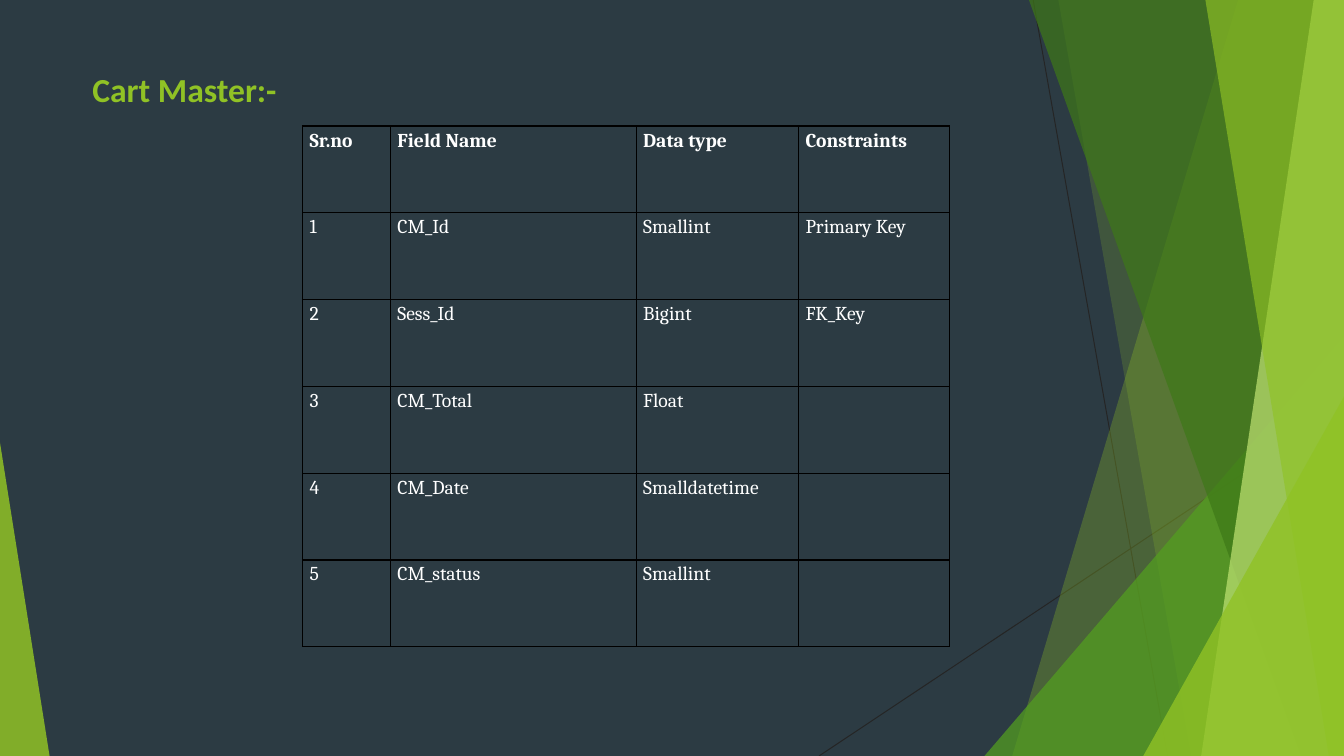
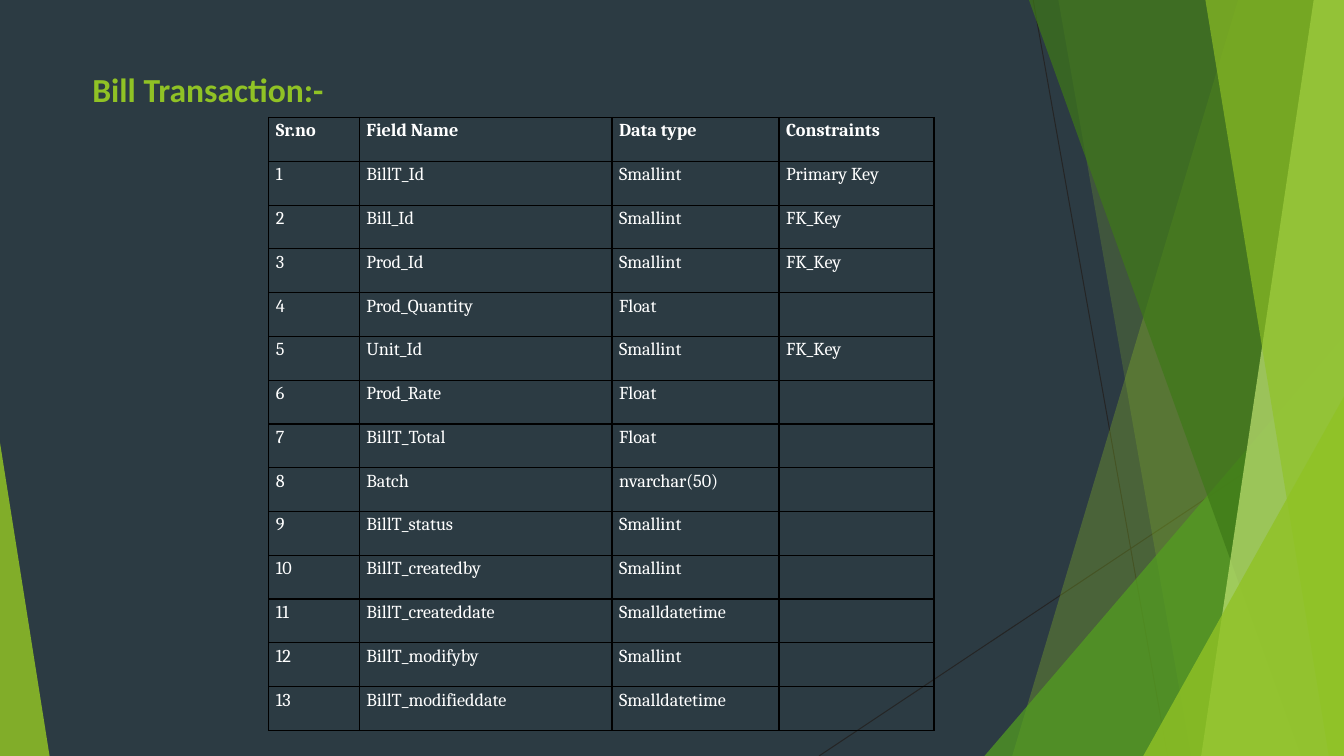
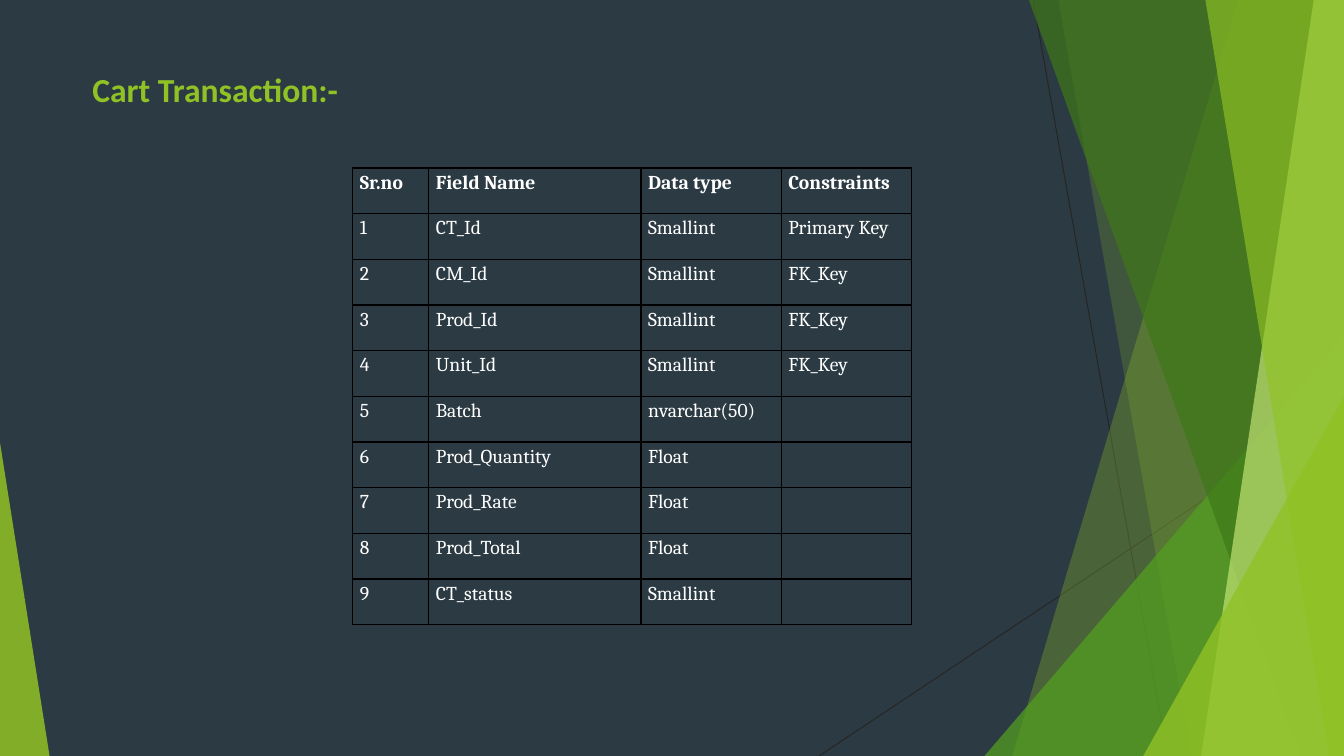
from lxml import etree
from pptx import Presentation
from pptx.dml.color import RGBColor
from pptx.enum.shapes import MSO_CONNECTOR
from pptx.enum.text import MSO_ANCHOR, MSO_AUTO_SIZE, PP_ALIGN
from pptx.oxml import parse_xml
from pptx.oxml.ns import nsdecls, qn
from pptx.util import Emu, Pt

STRAIGHT = MSO_CONNECTOR.STRAIGHT
TOP = MSO_ANCHOR.TOP
LEFT = PP_ALIGN.LEFT
FIXED = MSO_AUTO_SIZE.NONE

# The slide is a grid of 160 columns by 90 rows of square units.
COLS, ROWS = 160, 90
UNIT = 76200

HEX = {
    "night": "2C3B43", "line": "252525", "lime": "90C225", "leaf": "539F20",
    "moss": "3E7818", "pale": "C0E374", "white": "FFFFFF", "black": "000000",
}

RAYS = [(123, 0, 139, 90), (160, 48.4, 97.5, 90)]
FACETS = [  # colour, opacity in percent, corners
    ("lime", 30, [(160, 0), (147.4, 0), (120.5, 90), (160, 90)]),
    ("lime", 20, [(160, 0), (126, 0), (141.8, 90), (160, 90)]),
    ("leaf", 72, [(160, 40), (117.2, 90), (160, 90)]),
    ("moss", 70, [(160, 0), (122.5, 0), (154.9, 90), (160, 90)]),
    ("pale", 70, [(160, 0), (156.4, 0), (143, 90), (160, 90)]),
    ("lime", 65, [(160, 0), (143.5, 0), (158.2, 90), (160, 90)]),
    ("lime", 80, [(160, 47.2), (136.1, 90), (160, 90)]),
    ("lime", 85, [(0, 52.7), (0, 90), (5.9, 90)]),
]

HEAD = ("Sr.no", "Field Name", "Data type", "Constraints")
SHARES = (0.136, 0.38, 0.251, 0.233)
PAGES = [  # title, table box, text size, fields
    ("Cart Master:-", (36, 15, 77, 62), 14, [
        ("CM_Id", "Smallint", "Primary Key"),
        ("Sess_Id", "Bigint", "FK_Key"),
        ("CM_Total", "Float", ""),
        ("CM_Date", "Smalldatetime", ""),
        ("CM_status", "Smallint", ""),
    ]),
    ("Bill Transaction:-", (32, 14, 79.2, 73), 13, [
        ("BillT_Id", "Smallint", "Primary Key"),
        ("Bill_Id", "Smallint", "FK_Key"),
        ("Prod_Id", "Smallint", "FK_Key"),
        ("Prod_Quantity", "Float", ""),
        ("Unit_Id", "Smallint", "FK_Key"),
        ("Prod_Rate", "Float", ""),
        ("BillT_Total", "Float", ""),
        ("Batch", "nvarchar(50)", ""),
        ("BillT_status", "Smallint", ""),
        ("BillT_createdby", "Smallint", ""),
        ("BillT_createddate", "Smalldatetime", ""),
        ("BillT_modifyby", "Smallint", ""),
        ("BillT_modifieddate", "Smalldatetime", ""),
    ]),
    ("Cart Transaction:-", (42, 20, 66.5, 54.4), 14, [
        ("CT_Id", "Smallint", "Primary Key"),
        ("CM_Id", "Smallint", "FK_Key"),
        ("Prod_Id", "Smallint", "FK_Key"),
        ("Unit_Id", "Smallint", "FK_Key"),
        ("Batch", "nvarchar(50)", ""),
        ("Prod_Quantity", "Float", ""),
        ("Prod_Rate", "Float", ""),
        ("Prod_Total", "Float", ""),
        ("CT_status", "Smallint", ""),
    ]),
]


def grid(*units):
    """Turn grid units into slide lengths."""
    return [Emu(round(u * UNIT)) for u in units]


def style(para, face, size, tone, bold):
    for run in para.runs:
        font = run.font
        font.name, font.size, font.bold = face, Pt(size), bold
        font.color.rgb = RGBColor.from_string(HEX[tone])


deck = Presentation()
deck.slide_width, deck.slide_height = grid(COLS, ROWS)

# Shared layout: background, title place and facets
base = deck.slide_layouts.get_by_name("Title Only")
back = base.background.fill
back.solid()
back.fore_color.rgb = RGBColor.from_string(HEX["night"])

spot = base.placeholders[0]
spot.left, spot.top, spot.width, spot.height = grid(11, 8.2, 60, 4.8)
frame = spot.text_frame
frame.margin_left = frame.margin_right = 0
frame.margin_top = frame.margin_bottom = 0
frame.vertical_anchor = TOP
frame.auto_size = FIXED

# Layouts cannot add shapes, so the decor is drawn on a slide and moved over
first = deck.slides.add_slide(base)
decor = []
for ray in RAYS:
    line = first.shapes.add_connector(STRAIGHT, *grid(*ray))
    line.line.width = Pt(0.72)
    line.line.color.rgb = RGBColor.from_string(HEX["line"])
    etree.SubElement(line._element.spPr, qn("a:effectLst"))
    decor.append(line)
for tone, alpha, dots in FACETS:
    ends = [grid(*dot) for dot in dots]
    pen = first.shapes.build_freeform(*ends[0])
    pen.add_line_segments(ends[1:], close=True)
    facet = pen.convert_to_shape()
    facet.shadow.inherit = False
    facet.line.fill.background()
    facet.fill.solid()
    facet.fill.fore_color.rgb = RGBColor.from_string(HEX[tone])
    clr = facet._element.spPr.find(".//" + qn("a:srgbClr"))
    etree.SubElement(clr, qn("a:alpha"), val=str(alpha * 1000))
    decor.append(facet)
for item in decor:
    base.shapes._spTree.append(item._element)

# Slides
for page, (title, box, size, fields) in enumerate(PAGES):
    slide = deck.slides.add_slide(base) if page else first
    slide.shapes.title.text_frame.text = title
    para = slide.shapes.title.text_frame.paragraphs[0]
    para.alignment = LEFT
    style(para, "Calibri", 24, "lime", True)

    rows = [HEAD] + [(str(n), *field) for n, field in enumerate(fields, 1)]
    table = slide.shapes.add_table(len(rows), len(HEAD), *grid(*box)).table
    table.first_row = table.horz_banding = False
    for col, share in zip(table.columns, SHARES):
        col.width = grid(box[2] * share)[0]
    for r, row in enumerate(rows):
        table.rows[r].height = grid(box[3] / len(rows))[0]
        for c, text in enumerate(row):
            cell = table.cell(r, c)
            cell.fill.background()
            cell.margin_left, cell.margin_right = grid(0.85, 0.85)
            cell.margin_top = cell.margin_bottom = 0
            cell.text_frame.text = text
            para = cell.text_frame.paragraphs[0]
            para.line_spacing = 1.15
            style(para, "Cambria", size, "white", r == 0)
            props = cell._tc.get_or_add_tcPr()
            for i, side in enumerate(("lnL", "lnR", "lnT", "lnB")):
                props.insert(i, parse_xml(
                    f'<a:{side} {nsdecls("a")} w="{Pt(1)}"><a:solidFill>'
                    f'<a:srgbClr val="{HEX["black"]}"/></a:solidFill></a:{side}>'))

deck.save("out.pptx")
